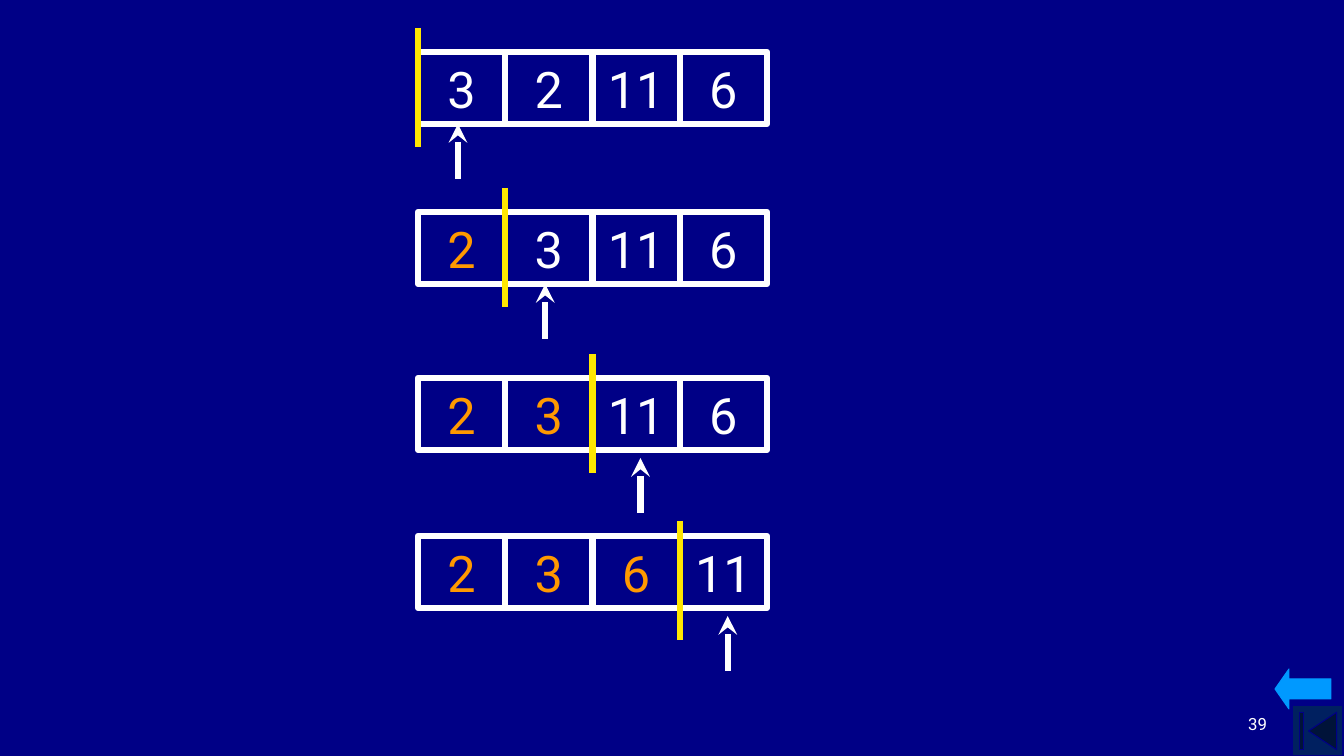
import pptx
import pptx.util
import pptx.dml.color
import pptx.enum.shapes
import pptx.enum.text
import pptx.oxml.ns
import pptx.oxml.xmlchemy

RGB = pptx.dml.color.RGBColor
SHAPE = pptx.enum.shapes.MSO_SHAPE
ALIGN = pptx.enum.text.PP_ALIGN
ANCHOR = pptx.enum.text.MSO_ANCHOR
NAVY = RGB(0x00, 0x00, 0x86)
DARK = RGB(0x00, 0x20, 0x60)
BLUE = RGB(0x00, 0x99, 0xFF)
WHITE = RGB(0xFF, 0xFF, 0xFF)
YELLOW = RGB(0xFF, 0xE7, 0x01)
ORANGE = RGB(0xFF, 0x99, 0x00)
FONT = "Roboto"
SCALE = 914400 / 100.8
ROW_W, ROW_H = 349, 72
BAR_H, ARROW_H = 119, 55


def px(num):
    """Turn pixels into EMU."""
    return pptx.util.Emu(round(num * SCALE))


def add_text(frame, text, size, color, align, anchor):
    """Write one run into a text frame."""
    frame.word_wrap = True
    frame.vertical_anchor = anchor
    para = frame.paragraphs[0]
    para.alignment = align
    run = para.add_run()
    run.text = text
    run.font.size = pptx.util.Pt(size)
    run.font.name = FONT
    run.font.color.rgb = color


def add_line(shapes, x, top, end, color, head=False):
    """Draw an upright line, with a stealth head at its end if asked."""
    line = shapes.add_connector(
        pptx.enum.shapes.MSO_CONNECTOR.STRAIGHT, px(x), px(top), px(x), px(end))
    line.line.color.rgb = color
    line.line.width = pptx.util.Pt(4.5)
    props = line._element.spPr
    if head:
        tail = pptx.oxml.xmlchemy.OxmlElement("a:tailEnd")
        tail.set("type", "stealth")
        props.find(pptx.oxml.ns.qn("a:ln")).append(tail)
    props.append(pptx.oxml.xmlchemy.OxmlElement("a:effectLst"))


def add_cell(shapes, x, y, w, h, text, color):
    """Draw one array cell with its value."""
    cell = shapes.add_shape(SHAPE.RECTANGLE, px(x), px(y), px(w), px(h))
    cell.shadow.inherit = False
    cell.fill.background()
    cell.line.color.rgb = WHITE
    cell.line.width = pptx.util.Pt(4.5)
    cell.text_frame.margin_top = cell.text_frame.margin_bottom = 0
    add_text(cell.text_frame, text, 36, color, ALIGN.CENTER, ANCHOR.MIDDLE)


def add_row(slide, x, y, w, h, vals, done, rise, shift, drop):
    """Draw one sorting step: cells, sorted-part bar and pointer."""
    shapes = slide.shapes.add_group_shape().shapes
    step = w / len(vals)
    for i, val in enumerate(vals):
        color = ORANGE if i < done else WHITE
        add_cell(shapes, x + i * step, y, step, h, str(val), color)
    edge = x + done * step
    add_line(shapes, edge, y - rise, y - rise + BAR_H, YELLOW)
    tip = y + h + drop
    add_line(shapes, edge + shift, tip + ARROW_H, tip, WHITE, head=True)


def add_button(slide, kind, x, y, w, h, fill, edge):
    """Draw one navigation shape."""
    shape = slide.shapes.add_shape(kind, px(x), px(y), px(w), px(h))
    shape.shadow.inherit = False
    shape.fill.solid()
    shape.fill.fore_color.rgb = fill
    shape.line.color.rgb = edge
    shape.line.width = pptx.util.Pt(0.75)
    return shape


def add_foot(slide, x, y, w, h):
    """Draw the page number and buttons in the lower right corner."""
    right, base = x + w, y + h
    add_button(slide, SHAPE.ACTION_BUTTON_BEGINNING,
               right - 51, base - 50, 50, 50, DARK, NAVY)
    box = slide.shapes.add_textbox(px(x), px(y + 20), px(313), px(50))
    add_text(box.text_frame, "39", 12, WHITE, ALIGN.RIGHT, ANCHOR.BOTTOM)
    back = add_button(slide, SHAPE.LEFT_ARROW, right - 69, y, 56, 40, BLUE, BLUE)
    back.adjustments[0] = 0.5
    back.adjustments[1] = 0.35


def main():
    """Build the slide and save it."""
    deck = pptx.Presentation()
    deck.slide_width, deck.slide_height = px(1344), px(756)
    slide = deck.slides.add_slide(deck.slide_layouts[6])
    slide.background.fill.solid()
    slide.background.fill.fore_color.rgb = NAVY
    add_foot(slide, 964, 669, 380, 87)
    steps = [
        (52, (3, 2, 11, 6), 24, 40, 0),
        (212, (2, 3, 11, 6), 24, 40, 0),
        (378, (2, 3, 11, 6), 24, 48, 8),
        (536, (2, 3, 6, 11), 15, 48, 8),
    ]
    for done, (y, vals, rise, shift, drop) in enumerate(steps):
        add_row(slide, 418, y, ROW_W, ROW_H, vals, done, rise, shift, drop)
    deck.save("out.pptx")


if __name__ == "__main__":
    main()
